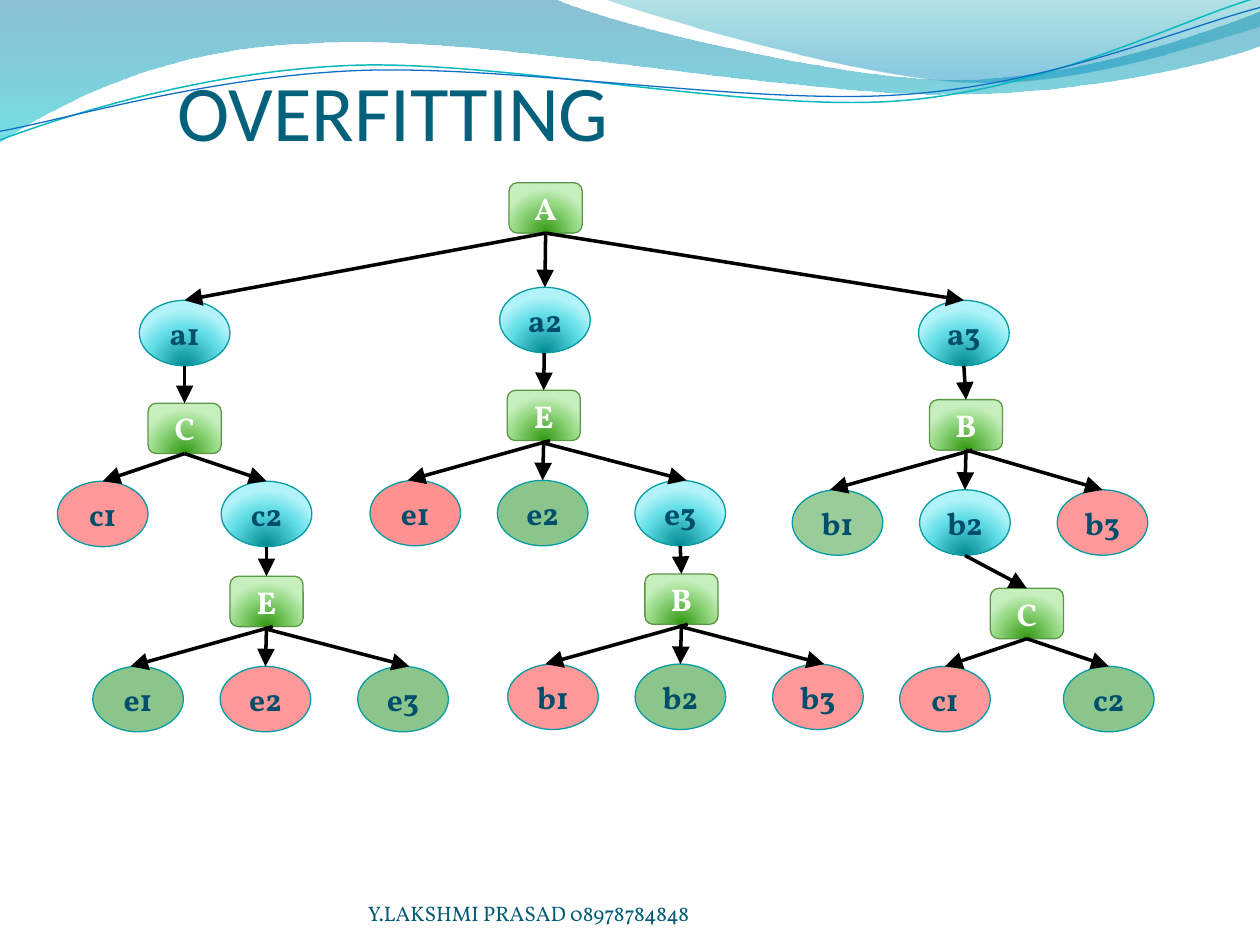
import dataclasses

import pptx
import pptx.dml.color
import pptx.enum.shapes
import pptx.enum.text
import pptx.oxml
import pptx.oxml.ns
import pptx.util
from lxml import etree

Pt = pptx.util.Pt
qn = pptx.oxml.ns.qn
MSO = pptx.enum.shapes.MSO_SHAPE
ANCHOR = pptx.enum.text.MSO_ANCHOR
ALIGN = pptx.enum.text.PP_ALIGN


@dataclasses.dataclass(frozen=True)
class Theme:
    heading: str = "Calibri"
    body: str = "Vollkorn"
    title_size: float = 45
    node_size: float = 18
    footer_size: float = 12
    title: str = "04617B"
    footer: str = "045D75"
    box_text: str = "FFFFFF"
    oval_text: str = "004E6C"
    box_line: str = "5B9747"
    oval_line: str = "069CA3"
    arrow: str = "000000"
    red: str = "FF0000"
    green: str = "008000"
    box_stops: tuple = ((0, "319811", 100), (68, "95D882", 100), (100, "C6EFBD", 100))
    oval_stops: tuple = ((0, "008A91", 100), (68, "64DFE7", 100), (100, "B1F3F9", 100))
    wide_wave: tuple = ((0, "0074A1", 45), (100, "00C6CF", 55))
    right_wave: tuple = ((0, "00A1A9", 30), (80, "008BBF", 45))
    upper_curve: str = "0AB8BF"
    lower_curve: str = "0F6FC6"


T = Theme()
BOX_W, BOX_H = 41.8, 28.8
OVAL_W, OVAL_H = 51.8, 37.4
CURVE_TILT = -2.7


def rgb(value):
    return pptx.dml.color.RGBColor.from_string(value)


def sub(parent, tag, **attrs):
    return etree.SubElement(parent, qn(tag), {k: str(v) for k, v in attrs.items()})


def gradient_fill(sp, stops, radial):
    sp.fill.gradient()
    grad = sp._element.spPr.find(qn("a:gradFill"))
    for child in list(grad):
        grad.remove(child)
    gs_list = sub(grad, "a:gsLst")
    for pos, color, alpha in stops:
        clr = sub(sub(gs_list, "a:gs", pos=pos * 1000), "a:srgbClr", val=color)
        if alpha < 100:
            sub(clr, "a:alpha", val=alpha * 1000)
    if radial:
        path = sub(grad, "a:path", path="circle")
        sub(path, "a:fillToRect", l=50000, t=130000, r=50000, b=-30000)
    else:
        sub(grad, "a:lin", ang=90 * 60000, scaled=0)


def tint_fill(sp, color, alpha):
    sp.fill.solid()
    sp.fill.fore_color.rgb = rgb(color)
    clr = sp._element.spPr.find(qn("a:solidFill")).find(qn("a:srgbClr"))
    sub(clr, "a:alpha", val=alpha * 1000)


def style_text(p, font, size, color, bold=False):
    for r in p.runs:
        r.font.name = font
        r.font.size = Pt(size)
        r.font.bold = bold
        r.font.color.rgb = rgb(color)


def add_text(s, text, x, y, w, h, font, size, color):
    tf = s.shapes.add_textbox(Pt(x), Pt(y), Pt(w), Pt(h)).text_frame
    tf.word_wrap = True
    tf.vertical_anchor = ANCHOR.BOTTOM
    tf.margin_left = tf.margin_right = tf.margin_top = tf.margin_bottom = 0
    tf.text = text
    style_text(tf.paragraphs[0], font, size, color)


def bend_segments(sp, segments):
    steps = iter(list(sp._element.spPr.iter(qn("a:lnTo"))))
    for seg in segments:
        group = [next(steps) for _ in seg]
        if len(group) == 3:
            curve = etree.Element(qn("a:cubicBezTo"))
            group[0].addprevious(curve)
            for step in group:
                curve.append(step.find(qn("a:pt")))
                step.getparent().remove(step)


def add_path(s, start, segments, closed):
    fb = s.shapes.build_freeform(Pt(start[0]), Pt(start[1]))
    fb.add_line_segments([(Pt(x), Pt(y)) for seg in segments for x, y in seg], close=closed)
    sp = fb.convert_to_shape()
    sp.shadow.inherit = False
    bend_segments(sp, segments)
    return sp


def add_wave(s, stops, start, segments):
    sp = add_path(s, start, segments, closed=True)
    gradient_fill(sp, stops, radial=False)
    sp.line.fill.background()


def add_curve(s, color, width, start, segments):
    sp = add_path(s, start, segments, closed=False)
    sp.fill.background()
    sp.line.color.rgb = rgb(color)
    sp.line.width = Pt(width)
    sp.rotation = CURVE_TILT


def add_node(s, kind, text, cx, top, w, h, line, color):
    sp = s.shapes.add_shape(kind, Pt(cx - w / 2), Pt(top), Pt(w), Pt(h))
    sp.shadow.inherit = False
    sp.line.color.rgb = rgb(line)
    sp.line.width = Pt(0.75)
    tf = sp.text_frame
    tf.word_wrap = True
    tf.vertical_anchor = ANCHOR.MIDDLE
    tf.text = text
    tf.paragraphs[0].alignment = ALIGN.CENTER
    style_text(tf.paragraphs[0], T.body, T.node_size, color, bold=True)
    return sp


def add_box(s, text, cx, top):
    sp = add_node(s, MSO.ROUNDED_RECTANGLE, text, cx, top, BOX_W, BOX_H, T.box_line, T.box_text)
    gradient_fill(sp, T.box_stops, radial=True)


def add_oval(s, text, cx, top, tint=None):
    sp = add_node(s, MSO.OVAL, text, cx, top, OVAL_W, OVAL_H, T.oval_line, T.oval_text)
    if tint:
        tint_fill(sp, *tint)
    else:
        gradient_fill(sp, T.oval_stops, radial=True)


def add_arrow(s, x1, y1, x2, y2):
    cn = s.shapes.add_connector(pptx.enum.shapes.MSO_CONNECTOR.STRAIGHT,
                                Pt(x1), Pt(y1), Pt(x2), Pt(y2))
    cn.line.color.rgb = rgb(T.arrow)
    cn.line.width = Pt(2)
    sub(cn.line._get_or_add_ln(), "a:tailEnd", type="triangle", w="lg", len="lg")
    sub(cn._element.spPr, "a:effectLst")


def add_root(s, text, cx, top, children):
    add_box(s, text, cx, top)
    for label, child_x, child_top in children:
        add_oval(s, label, child_x, child_top)
        add_arrow(s, cx, top + BOX_H, child_x, child_top)


def add_split(s, text, cx, top, parent, tints, right_skew=(1.4, 3.6)):
    add_box(s, text, cx, top)
    add_arrow(s, parent[0], parent[1] + OVAL_H, cx, top)
    bottom = top + BOX_H
    if len(tints) == 2:
        row = top + 44.6
        branches = [(-46.8, 0, 0, 0), (46.8, 0, 0, 0)]
    else:
        row = top + 51.5
        branches = [(-73.4, 3.6, 0, -4.3), (-0.6, 0, 0, 0), (78, 0, *right_skew)]
    for i, (tint, (dx, start_dx, start_dy, end_dx)) in enumerate(zip(tints, branches), 1):
        add_oval(s, f"{text.lower()}{i}", cx + dx, row, tint)
        add_arrow(s, cx + start_dx, bottom + start_dy, cx + dx + end_dx, row)


def add_waves(s):
    add_wave(s, T.wide_wave, (0, 0), [
        [(316.8, -0.7)],
        [(342.7, 12.2), (478.1, 45.4), (545.8, 45.4)],
        [(614.2, 45.4), (689.8, 18.7), (720, 6.5)],
        [(720.7, 25.9)],
        [(707.8, 31.7), (626.4, 54.7), (537.1, 54)],
        [(447.8, 54), (275, 20.2), (185, 24.5)],
        [(92.9, 25.9), (33.1, 59.8), (-0.7, 81.4)]])
    add_wave(s, T.right_wave, (344.9, -0.7), [
        [(366.5, 7.9), (491, 44.6), (553.7, 46.8)],
        [(616.3, 49.7), (691.9, 23), (720, 15.1)],
        [(720, 0)]])
    add_curve(s, T.upper_curve, 0.85, (-1.4, 63), [
        [(33.8, 51.7), (114.1, 29.4), (199.8, 29.9)],
        [(284.8, 30.3), (425.9, 67.3), (512.4, 64.9)],
        [(599.1, 62.4), (676.5, 25.7), (720.2, 15.6)]])
    add_curve(s, T.lower_curve, 0.75, (-1.1, 58), [
        [(32.9, 53.8), (118.3, 32.5), (204.1, 33)],
        [(290.6, 33.4), (429.7, 63.8), (515.5, 61.4)],
        [(601.4, 59.6), (678.4, 30.1), (721.4, 21.3)]])


def main():
    prs = pptx.Presentation()
    prs.slide_width, prs.slide_height = Pt(720), Pt(540)
    s = prs.slides.add_slide(prs.slide_layouts[6])
    red, green = (T.red, 40), (T.green, 45)
    add_waves(s)
    add_text(s, "OVERFITTING", 101.5, 33.8, 466.6, 56.2, T.heading, T.title_size, T.title)
    add_root(s, "A", 311.8, 104.4,
             [("a1", 105.5, 171.6), ("a2", 311.4, 164.2), ("a3", 550.8, 171.6)])
    add_split(s, "C", 105.5, 230.4, (105.5, 171.6), [red, None])
    add_split(s, "E", 310.7, 223, (311, 164.2), [(T.red, 43), green, None])
    add_split(s, "B", 552, 228.4, (550.8, 171.6), [(T.green, 40), None, red], (0, 0))
    add_split(s, "E", 152.3, 329.3, (152.3, 275), [green, red, green])
    add_split(s, "B", 389.4, 328, (388.7, 274.5), [red, green, red])
    add_split(s, "C", 586.8, 336.2, (551.4, 280), [red, green])
    add_text(s, "Y.LAKSHMI PRASAD 08978784848", 210.2, 500.4, 264.2, 28.8,
             T.body, T.footer_size, T.footer)
    prs.save("out.pptx")


if __name__ == "__main__":
    main()
